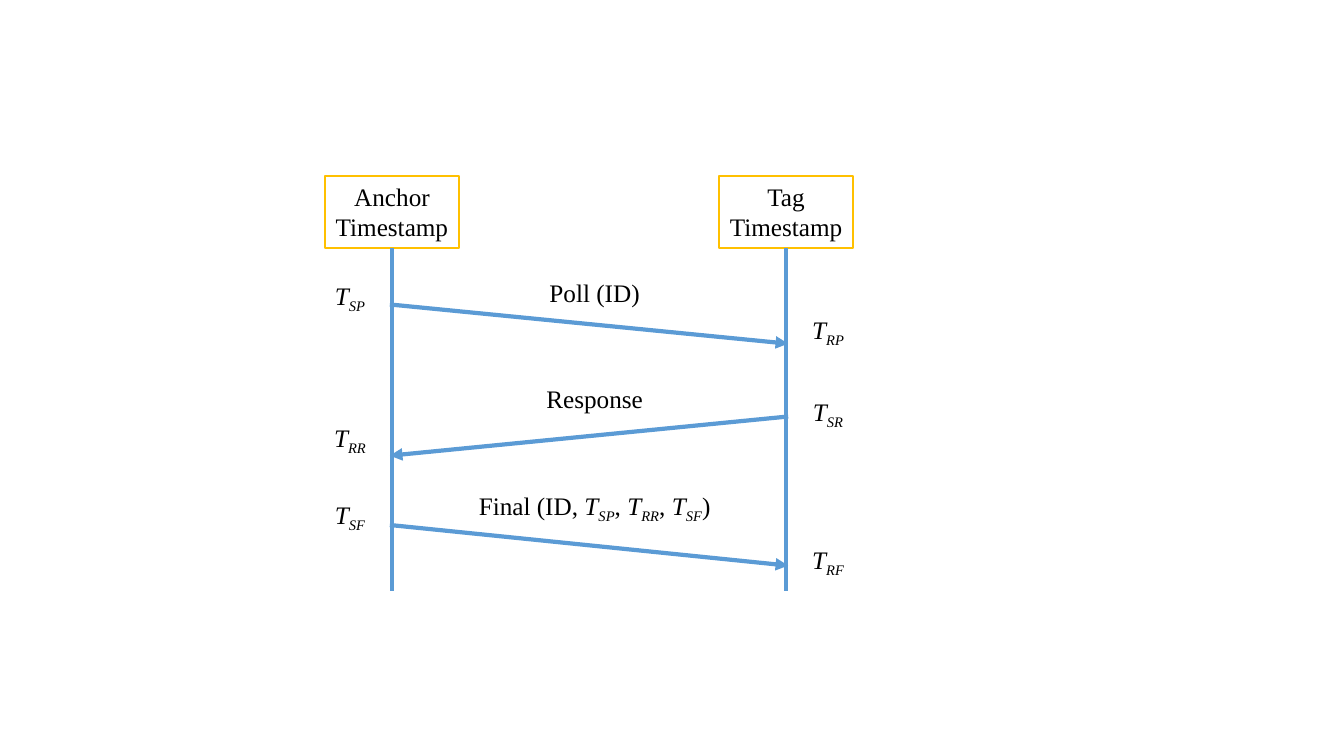
from pptx import Presentation
from pptx.dml.color import RGBColor
from pptx.enum.shapes import MSO_CONNECTOR, MSO_SHAPE
from pptx.enum.text import MSO_ANCHOR, MSO_AUTO_SIZE, PP_ALIGN
from pptx.oxml.ns import qn
from pptx.util import Pt
from lxml.etree import SubElement

AMBER, BLUE, BLACK = "FFC000", "5B9BD5", "000000"
HEADER_WIDTH, HEADER_HEIGHT = 96, 51
LABEL_WIDTH, LABEL_HEIGHT = 39, 29
LABEL_OFFSET = 30  # lifeline to the centre of a timestamp label
OVERHANG = 1.5  # arrows run to the outer edge of a lifeline

# Message, its width and top, start and end height of its arrow,
# direction, and the (symbol, top) of the anchor's and tag's timestamps
MESSAGES = [
    ("Poll (ID)", 80, 194.5, 217.5, 245.5, "to tag", ("T_SP", 196.5), ("T_RP", 221)),
    ("Response", 84, 270.5, 297.5, 325.5, "to anchor", ("T_RR", 298), ("T_SR", 279.5)),
    ("Final (ID, |T_SP|, |T_RR|, |T_SF|)", 188.5, 346.5, 375, 404, "to tag",
     ("T_SF", 353), ("T_RF", 385)),
]


def color(value):
    return RGBColor.from_string(value)


def add_span(para, text, **font_format):
    span = para.add_run()
    span.text = text
    settings = {"name": "Times New Roman", "size": Pt(18)} | font_format
    for name, value in settings.items():
        setattr(span.font, name, value)
    span.font.color.rgb = color(BLACK)
    return span


def fill_text(frame, lines):
    """Parts are split by |, and a part like T_SP is a symbol with a subscript."""
    settings = {"word_wrap": False, "auto_size": MSO_AUTO_SIZE.SHAPE_TO_FIT_TEXT,
                "vertical_anchor": MSO_ANCHOR.TOP}
    for name, value in settings.items():
        setattr(frame, name, value)
    for index, line in enumerate(lines):
        para = frame.add_paragraph() if index else frame.paragraphs[0]
        para.alignment = PP_ALIGN.CENTER
        for part in line.split("|"):
            base, _, subscript = part.partition("_")
            add_span(para, base, italic=bool(subscript))
            if subscript:
                span = add_span(para, subscript, italic=True)
                span.font._element.set("baseline", "-25000")


def add_label(page, text, center, top, width=LABEL_WIDTH):
    box = page.shapes.add_textbox(Pt(center - width / 2), Pt(top), Pt(width), Pt(LABEL_HEIGHT))
    fill_text(box.text_frame, [text])


def add_line(page, start, end, arrow=False):
    line = page.shapes.add_connector(MSO_CONNECTOR.STRAIGHT, *map(Pt, start + end))
    line.line.color.rgb = color(BLUE)
    line.line.width = Pt(3)
    if arrow:
        SubElement(line.line._get_or_add_ln(), qn("a:tailEnd"), type="triangle")
    SubElement(line._element.spPr, qn("a:effectLst"))
    return line


def add_participant(page, name, center, top, bottom):
    # Header box
    header = page.shapes.add_shape(MSO_SHAPE.RECTANGLE, Pt(center - HEADER_WIDTH / 2),
                                   Pt(top), Pt(HEADER_WIDTH), Pt(HEADER_HEIGHT))
    header.shadow.inherit = False
    header.fill.background()
    header.line.color.rgb = color(AMBER)
    header.line.width = Pt(1.5)
    fill_text(header.text_frame, [name, "Timestamp"])
    # Lifeline
    lifeline = add_line(page, (center, top + HEADER_HEIGHT), (center, bottom))
    lifeline.begin_connect(header, 2)


def add_message(page, anchor, tag, message):
    text, width, text_top, start, end, direction, anchor_time, tag_time = message
    # Arrow between the lifelines
    sides = [anchor - OVERHANG, tag + OVERHANG]
    if direction == "to anchor":
        sides.reverse()
    add_line(page, (sides[0], start), (sides[1], end), arrow=True)
    # Timestamps and message text
    add_label(page, anchor_time[0], anchor - LABEL_OFFSET, anchor_time[1])
    add_label(page, tag_time[0], tag + LABEL_OFFSET, tag_time[1])
    add_label(page, text, (anchor + tag) / 2 + 4, text_top, width)


def add_sequence(page, left, top, right, bottom):
    anchor, tag = left + HEADER_WIDTH / 2, right - HEADER_WIDTH / 2
    add_participant(page, "Anchor", anchor, top, bottom)
    add_participant(page, "Tag", tag, top, bottom)
    for message in MESSAGES:
        add_message(page, anchor, tag, message)


def main():
    deck = Presentation()
    deck.slide_width, deck.slide_height = Pt(960), Pt(540)
    page = deck.slides.add_slide(deck.slide_layouts[6])
    add_sequence(page, 232, 126, 609.5, 422.5)
    deck.save("out.pptx")


if __name__ == "__main__":
    main()
